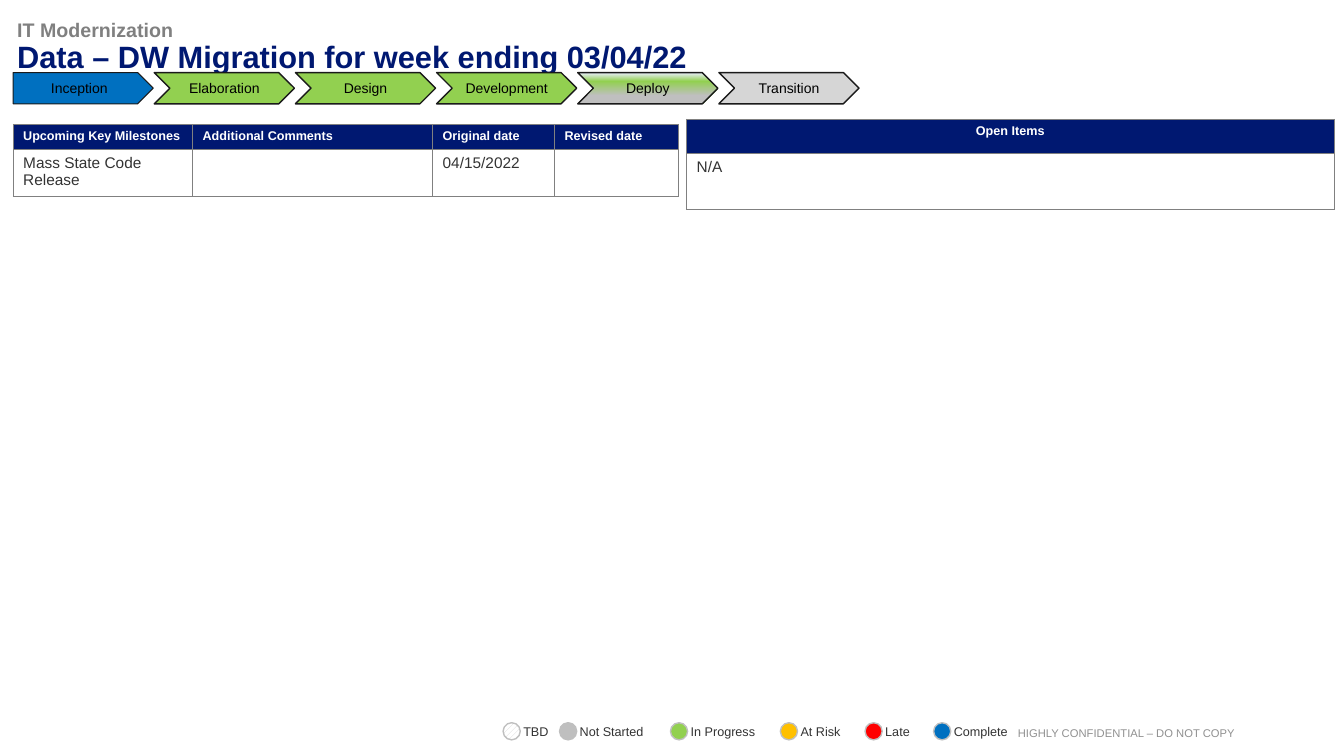
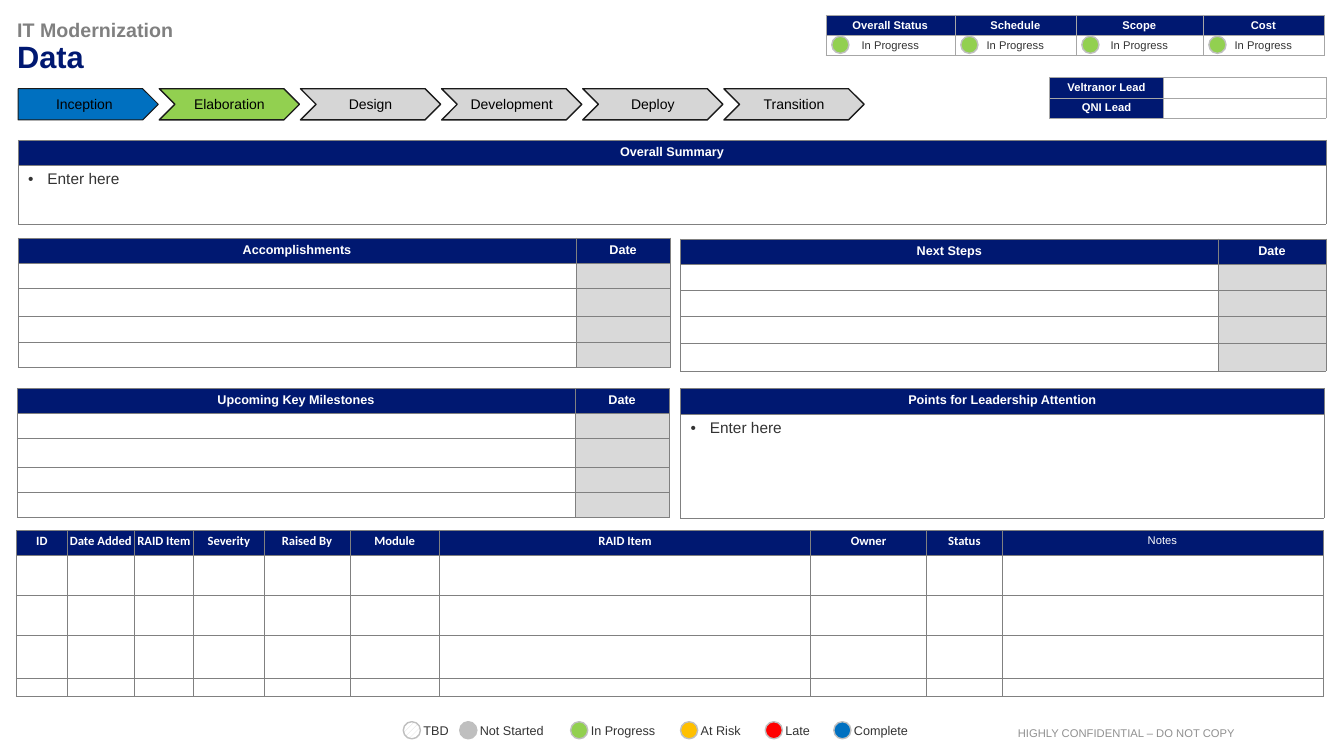
from lxml import etree
from pptx import Presentation
from pptx.dml.color import RGBColor
from pptx.enum.dml import MSO_PATTERN
from pptx.enum.shapes import MSO_SHAPE
from pptx.enum.text import MSO_ANCHOR, PP_ALIGN
from pptx.oxml.ns import qn
from pptx.util import Inches, Pt

ELLIPSE, PENTAGON, CHEVRON = MSO_SHAPE.OVAL, MSO_SHAPE.PENTAGON, MSO_SHAPE.CHEVRON
HATCH = MSO_PATTERN.WIDE_UPWARD_DIAGONAL
LEFT, CENTER, RIGHT = PP_ALIGN.LEFT, PP_ALIGN.CENTER, PP_ALIGN.RIGHT
TOP, MIDDLE = MSO_ANCHOR.TOP, MSO_ANCHOR.MIDDLE

NAVY, WHITE, BLACK, TEXT = "001871", "FFFFFF", "000000", "333333"
GREEN, BLUE, AMBER, RED = "92D050", "0070C0", "FFC000", "FF0000"
SILVER, PALE, SHADE = "BFBFBF", "D6D6D6", "D9D9D9"
GREY, MID_GREY, FOOTER_GREY, OUTLINE = "808080", "A6A6A6", "909090", "1A1A1A"
DEPLOY_STOPS = [(0, "EBEFFF"), (28, GREEN), (74, SILVER), (100, SILVER)]

HEADER = dict(size=9, color=WHITE, bold=True, fill=NAVY, align=CENTER)
HEADER_LEFT = dict(HEADER, align=LEFT)
SMALL_HEADER = dict(HEADER, size=8, anchor=MIDDLE, margins=(0.1, 0.03, 0.1, 0.03))
SMALL_BODY = dict(SMALL_HEADER, color=TEXT, bold=False, fill=WHITE)
RAID_HEADER = dict(HEADER, font="Calibri", anchor=MIDDLE, margins=(0.01, 0.01, 0.01, 0.05))
NOTES_HEADER = dict(RAID_HEADER, size=8, font="Arial", bold=False)
BODY = dict(size=11)
BULLETED = dict(BODY, bullet=True)
DATE_BODY = dict(fill=SHADE)

PHASES = ["Inception", "Elaboration", "Design", "Development", "Deploy", "Transition"]
LEGEND = [
    ("TBD", None, 0, 0.25),
    ("Not Started", SILVER, 0.56, 0.64),
    ("In Progress", GREEN, 1.66, 0.65),
    ("At Risk", AMBER, 2.75, 0.4),
    ("Late", RED, 3.59, 0.25),
    ("Complete", BLUE, 4.27, 0.54),
]


def rgb(value):
    return RGBColor.from_string(value)


def set_font(paragraph, size, color, bold=False, name="Arial"):
    font = paragraph.font
    font.name, font.size, font.bold = name, Pt(size), bold
    font.color.rgb = rgb(color)


def add_text(shapes, left, top, width, height, text, size, color, align=LEFT, wrap=True):
    box = shapes.add_textbox(Inches(left), Inches(top), Inches(width), Inches(height))
    frame = box.text_frame
    frame.word_wrap = wrap
    frame.margin_left = frame.margin_right = frame.margin_top = frame.margin_bottom = 0
    paragraph = frame.paragraphs[0]
    paragraph.text = text
    paragraph.alignment = align
    set_font(paragraph, size, color)
    return box


def add_outlined(shapes, kind, left, top, width, height, line_color, line_width=1.0):
    shape = shapes.add_shape(kind, Inches(left), Inches(top), Inches(width), Inches(height))
    shape.shadow.inherit = False
    shape.line.color.rgb = rgb(line_color)
    shape.line.width = Pt(line_width)
    return shape


def fill_gradient(shape, stops):
    shape.fill.gradient()
    shape.fill.gradient_angle = 270
    stop_list = shape.element.spPr.find(".//" + qn("a:gsLst"))
    for stop in list(stop_list):
        stop_list.remove(stop)
    for position, color in stops:
        stop = etree.SubElement(stop_list, qn("a:gs"), pos=str(position * 1000))
        etree.SubElement(stop, qn("a:srgbClr"), val=color)


def add_dot(shapes, left, top, color):
    dot = add_outlined(shapes, ELLIPSE, left, top, 0.17, 0.17, SILVER)
    if color:
        dot.fill.solid()
        dot.fill.fore_color.rgb = rgb(color)
    else:
        dot.fill.patterned()
        dot.fill.pattern = HATCH
        dot.fill.fore_color.rgb = rgb(SHADE)
        dot.fill.back_color.rgb = rgb(WHITE)


def add_legend(slide, left, top):
    shapes = slide.shapes.add_group_shape().shapes
    for label, color, offset, width in LEGEND:
        add_dot(shapes, left + offset, top, color)
        box = add_text(shapes, left + offset + 0.2, top - 0.04, width, 0.25,
                       label, 9, TEXT, wrap=False)
        box.text_frame.vertical_anchor = MIDDLE


def add_process(slide, left, top, fills):
    shapes = slide.shapes.add_group_shape().shapes
    for index, (phase, fill) in enumerate(zip(PHASES, fills)):
        first = index == 0
        step = add_outlined(shapes, PENTAGON if first else CHEVRON, left + 1.4 * index, top,
                            1.39, 0.31, OUTLINE, 0.75 if first else 1)
        if isinstance(fill, list):
            fill_gradient(step, fill)
        else:
            step.fill.solid()
            step.fill.fore_color.rgb = rgb(fill)
        frame = step.text_frame
        frame.vertical_anchor = MIDDLE
        paragraph = frame.paragraphs[0]
        paragraph.text = phase
        paragraph.alignment = CENTER
        set_font(paragraph, 10, BLACK)


def add_bullet(paragraph):
    properties = paragraph._p.get_or_add_pPr()
    properties.set("marL", str(Inches(0.19)))
    properties.set("indent", str(-Inches(0.19)))
    etree.SubElement(properties, qn("a:buFont"), typeface="Arial")
    etree.SubElement(properties, qn("a:buChar"), char="•")


def set_borders(cell, color):
    properties = cell._tc.get_or_add_tcPr()
    for index, side in enumerate(["lnL", "lnR", "lnT", "lnB"]):
        line = etree.Element(qn("a:" + side), w=str(Pt(0.25)))
        fill = etree.SubElement(line, qn("a:solidFill"))
        etree.SubElement(fill, qn("a:srgbClr"), val=color)
        properties.insert(index, line)


def style_cell(cell, text, border, size=4, color=TEXT, bold=False, fill=WHITE, align=LEFT,
               font="Arial", anchor=TOP, margins=(0.1, 0.05, 0.1, 0.05), bullet=False):
    cell.fill.solid()
    cell.fill.fore_color.rgb = rgb(fill)
    cell.vertical_anchor = anchor
    (cell.margin_left, cell.margin_top,
     cell.margin_right, cell.margin_bottom) = map(Inches, margins)
    set_borders(cell, border)
    paragraph = cell.text_frame.paragraphs[0]
    if text:
        paragraph.text = text
    else:
        paragraph._p.get_or_add_endParaRPr().set("sz", str(size * 100))
    paragraph.alignment = align
    if bullet:
        add_bullet(paragraph)
    set_font(paragraph, size, color, bold, font)


def add_grid(slide, left, top, columns, heights, rows, border=GREY):
    frame = slide.shapes.add_table(len(heights), len(columns), Inches(left), Inches(top),
                                   Inches(sum(columns)), Inches(sum(heights)))
    table = frame.table
    table.horz_banding = False
    for column, width in zip(table.columns, columns):
        column.width = Inches(width)
    for row, height, contents in zip(table.rows, heights, rows):
        row.height = Inches(height)
        for cell, (text, style) in zip(row.cells, contents):
            style_cell(cell, text, border, **style)


def styled(texts, style):
    return [(text, style) for text in texts]


def add_dated_panel(slide, left, top, columns, heights, title):
    rows = [styled([title, "Date"], HEADER)] + [[("", {}), ("", DATE_BODY)]] * 4
    add_grid(slide, left, top, columns, heights, rows)


def add_text_panel(slide, left, top, width, heights, title, text, style):
    add_grid(slide, left, top, [width], heights, [[(title, HEADER)], [(text, style)]])


def add_status_panel(slide, left, top):
    columns = [1.28, 1.2, 1.26, 1.2]
    rows = [styled(["Overall Status", "Schedule", "Scope", "Cost"], SMALL_HEADER),
            styled(["In Progress"] * 4, SMALL_BODY)]
    add_grid(slide, left, top, columns, [0.2, 0.2], rows, MID_GREY)
    for index in range(len(columns)):
        add_dot(slide.shapes, left + sum(columns[:index]) + 0.06, top + 0.21, GREEN)


def add_leads_panel(slide, left, top):
    rows = [[(label, SMALL_HEADER), ("", {})] for label in ["Veltranor Lead", "QNI Lead"]]
    add_grid(slide, left, top, [1.13, 1.61], [0.2, 0.2], rows, MID_GREY)


def add_raid_log(slide, left, top):
    columns = [0.51, 0.66, 0.59, 0.7, 0.85, 0.89, 3.68, 1.15, 0.75, 3.18]
    headers = styled(["ID", "Date Added", "RAID Item", "Severity", "Raised By", "Module",
                      "RAID Item", "Owner", "Status"], RAID_HEADER)
    rows = [headers + [("Notes", NOTES_HEADER)]] + [[("", {})] * len(columns)] * 4
    add_grid(slide, left, top, columns, [0.25, 0.39, 0.4, 0.43, 0.18], rows)


def start_slide(presentation, title):
    slide = presentation.slides.add_slide(presentation.slide_layouts[6])
    add_text(slide.shapes, 9.25, 7.21, 3, 0.13, "HIGHLY CONFIDENTIAL – DO NOT COPY",
             8, FOOTER_GREY, RIGHT)
    box = add_text(slide.shapes, 0.17, 0.18, 8.12, 0.57, "IT Modernization", 14, GREY)
    frame = box.text_frame
    frame.paragraphs[0].font.bold = True
    heading = frame.add_paragraph()
    heading.text = title
    heading.line_spacing = 0.9
    set_font(heading, 22, NAVY, True)
    return slide


def build_migration_slide(presentation):
    slide = start_slide(presentation, "Data – DW Migration for week ending 03/04/22")
    add_legend(slide, 4.99, 7.17)
    add_process(slide, 0.13, 0.72, [BLUE, GREEN, GREEN, GREEN, DEPLOY_STOPS, PALE])
    add_text_panel(slide, 6.81, 1.18, 6.42, [0.34, 0.56], "Open Items", "N/A", BODY)
    headers = ["Upcoming Key Milestones", "Additional Comments", "Original date", "Revised date"]
    milestone = ["Mass State Code Release", "", "04/15/2022", ""]
    add_grid(slide, 0.13, 1.23, [1.78, 2.38, 1.21, 1.23], [0.25, 0.47],
             [styled(headers, HEADER_LEFT), styled(milestone, BODY)])


def build_status_slide(presentation):
    slide = start_slide(presentation, "Data")
    add_legend(slide, 4, 7.16)
    add_process(slide, 0.18, 0.88, [BLUE, GREEN] + [PALE] * 4)
    add_status_panel(slide, 8.19, 0.15)
    add_leads_panel(slide, 10.41, 0.77)
    add_text_panel(slide, 0.18, 1.39, 12.97, [0.25, 0.58], "Overall Summary",
                   "Enter here", BULLETED)
    left_columns, left_heights = [5.53, 0.94], [0.25, 0.25, 0.28, 0.25, 0.25]
    add_dated_panel(slide, 0.18, 2.36, left_columns, left_heights, "Accomplishments")
    add_dated_panel(slide, 6.75, 2.37, [5.33, 1.07], [0.25, 0.26, 0.26, 0.26, 0.28],
                    "Next Steps")
    add_dated_panel(slide, 0.17, 3.85, left_columns, left_heights, "Upcoming Key Milestones")
    add_text_panel(slide, 6.75, 3.85, 6.38, [0.26, 1.03], "Points for Leadership Attention",
                   "Enter here", BULLETED)
    add_raid_log(slide, 0.16, 5.26)


def main():
    presentation = Presentation()
    presentation.slide_width = Inches(13.33)
    presentation.slide_height = Inches(7.5)
    build_migration_slide(presentation)
    build_status_slide(presentation)
    presentation.save("out.pptx")


if __name__ == "__main__":
    main()
